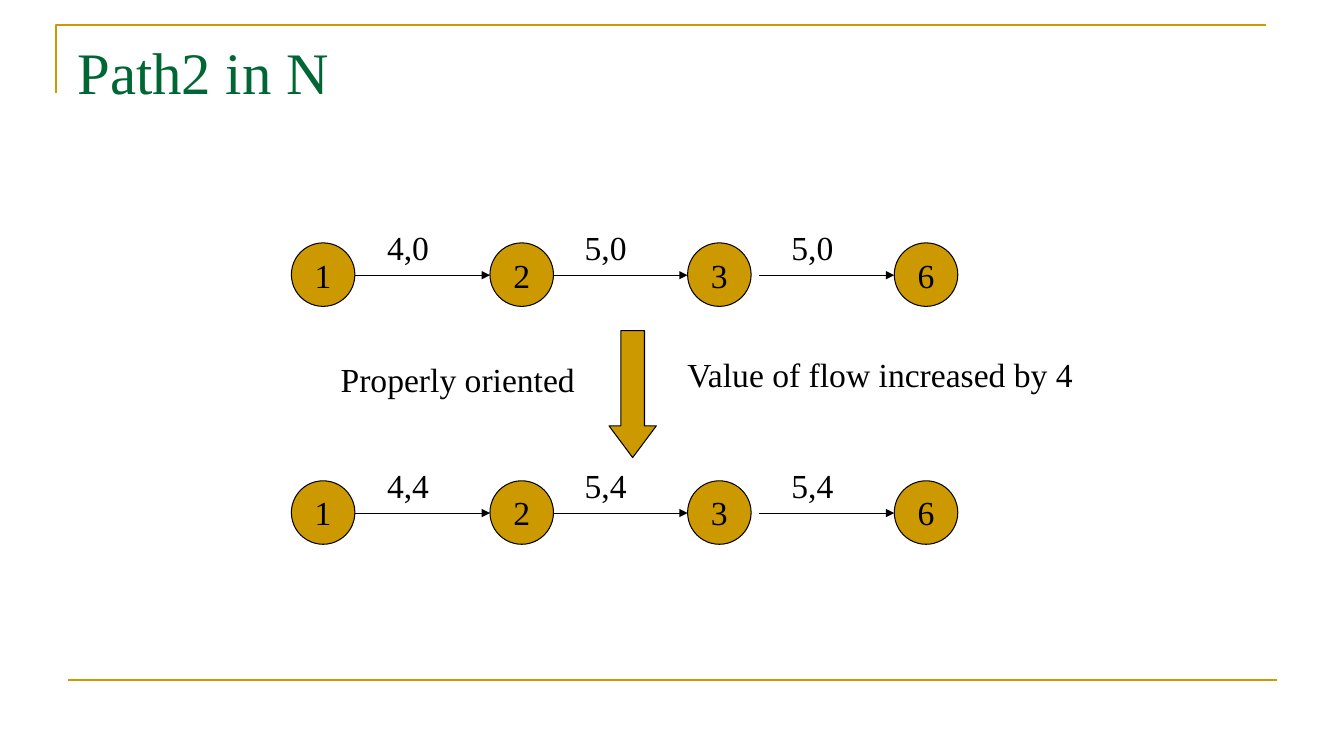
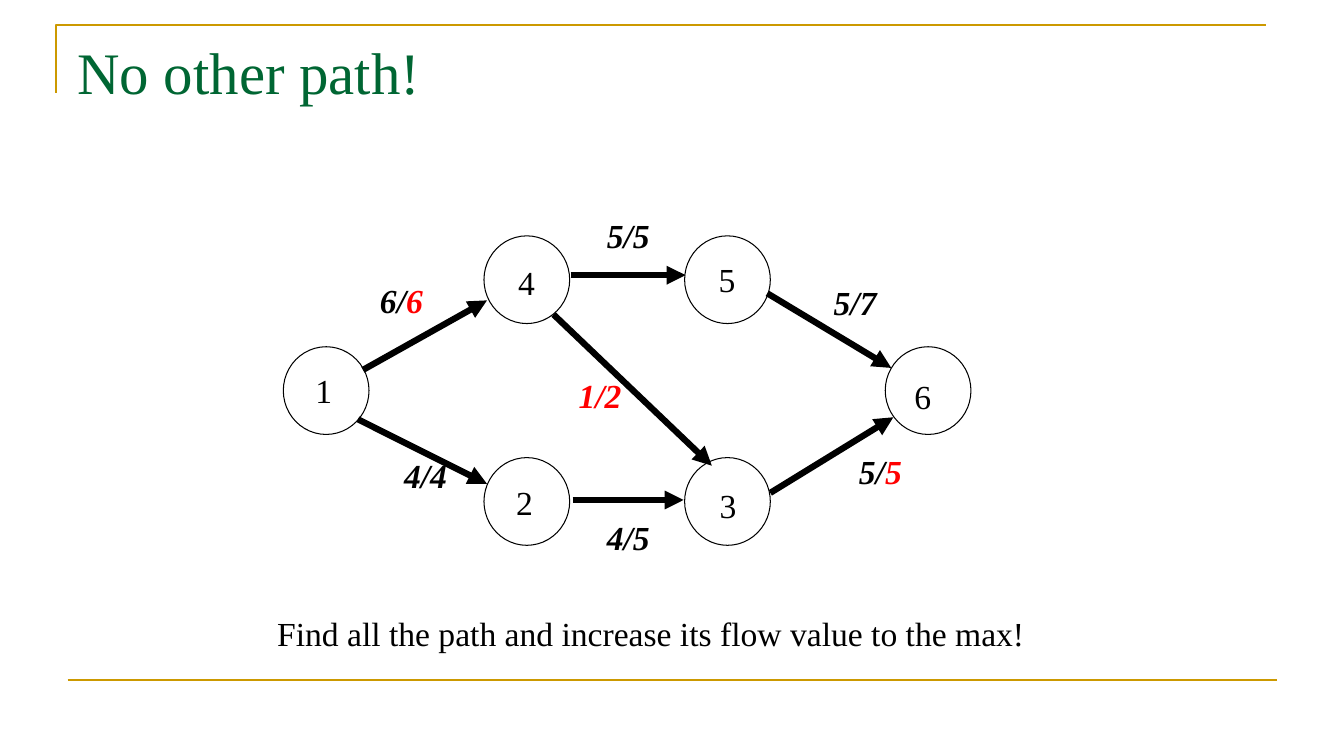
from dataclasses import dataclass

import pptx
import pptx.dml.color
import pptx.enum.shapes
import pptx.enum.text
import pptx.util
from lxml import etree
from pptx.oxml.ns import qn

Inches = pptx.util.Inches
Pt = pptx.util.Pt
SHAPES = pptx.enum.shapes.MSO_SHAPE

FONT = "Times New Roman"
COLORS = {"gold": "CC9900", "title": "006633", "ink": "000000", "red": "FF0000"}


@dataclass
class Label:
    """Text made of (words, colour) pairs."""
    wording: list[tuple[str, str]]
    left: float
    top: float
    width: float
    height: float = 0.5


@dataclass
class Node:
    """A numbered circle; the digit has its own place."""
    number: str
    column: int
    row: int
    digit_left: float
    digit_top: float


@dataclass
class Arrow:
    start: tuple[float, float]
    end: tuple[float, float]


def rgb(name: str) -> pptx.dml.color.RGBColor:
    return pptx.dml.color.RGBColor.from_string(COLORS[name])


def format_run(run, color: str, size: float = 24, strong: bool = False) -> None:
    run.font.name = FONT
    run.font.size = Pt(size)
    run.font.color.rgb = rgb(color)
    if strong:
        run.font.bold = run.font.italic = True


def add_label(slide, label: Label, size: float = 24, wrap: bool = False,
              strong: bool = False) -> None:
    box = slide.shapes.add_textbox(Inches(label.left), Inches(label.top),
                                   Inches(label.width), Inches(label.height))
    frame = box.text_frame
    frame.word_wrap = wrap
    frame.auto_size = pptx.enum.text.MSO_AUTO_SIZE.SHAPE_TO_FIT_TEXT
    for words, color in label.wording:
        run = frame.paragraphs[0].add_run()
        run.text = words
        format_run(run, color, size, strong)


def add_line(slide, line: Arrow, color: str, weight: float, head: bool = True) -> None:
    connector = slide.shapes.add_connector(
        pptx.enum.shapes.MSO_CONNECTOR.STRAIGHT,
        *(Inches(value) for value in line.start + line.end))
    connector.line.color.rgb = rgb(color)
    connector.line.width = Pt(weight)
    if head:
        etree.SubElement(connector.line._get_or_add_ln(), qn("a:tailEnd"), type="triangle")
    etree.SubElement(connector._element.spPr, qn("a:effectLst"))


def add_figure(slide, kind, left: float, top: float, width: float, height: float,
               fill: str = ""):
    figure = slide.shapes.add_shape(kind, Inches(left), Inches(top),
                                    Inches(width), Inches(height))
    figure.shadow.inherit = False
    if fill:
        figure.fill.solid()
        figure.fill.fore_color.rgb = rgb(fill)
    else:
        figure.fill.background()
    figure.line.color.rgb = rgb("ink")
    figure.line.width = Pt(0.75)
    return figure


def add_framed_slide(deck, title: str):
    """Blank slide with the gold corner, the foot rule and a title."""
    slide = deck.slides.add_slide(deck.slide_layouts[6])
    outline = slide.shapes.build_freeform(Inches(0.56), Inches(0.92))
    outline.add_line_segments([(Inches(0.56), Inches(0.25)),
                               (Inches(12.56), Inches(0.25))], close=False)
    corner = outline.convert_to_shape()
    corner.shadow.inherit = False
    corner.fill.background()
    corner.line.color.rgb = rgb("gold")
    corner.line.width = Pt(1.5)
    add_line(slide, Arrow((0.67, 6.75), (12.67, 6.75)), "gold", 1.5, head=False)
    add_label(slide, Label([(title, "title")], 0.67, 0.3, 12, 1.25), size=42, wrap=True)
    return slide


# Path slide: one chain of nodes before and one after the increase
CHAIN = {"1": 2.89, "2": 4.86, "3": 6.82, "6": 8.87}
CHAIN_NODE = 0.63
CHAIN_ARROW = 1.34


def add_chain(slide, top: float, flows: list[str]) -> None:
    for number, left in CHAIN.items():
        circle = add_figure(slide, SHAPES.OVAL, left, top, CHAIN_NODE, CHAIN_NODE, "gold")
        frame = circle.text_frame
        frame.text = number
        frame.word_wrap = False
        frame.vertical_anchor = pptx.enum.text.MSO_ANCHOR.MIDDLE
        frame.paragraphs[0].alignment = pptx.enum.text.PP_ALIGN.CENTER
        format_run(frame.paragraphs[0].runs[0], "ink")
    middle = top + 0.32
    for flow, target in zip(flows, list(CHAIN.values())[1:]):
        add_line(slide, Arrow((target - CHAIN_ARROW, middle), (target, middle)), "ink", 0.75)
        add_label(slide, Label([(flow, "ink")], target - 1.12, top - 0.21, 0.62))


def build_path_slide(deck) -> None:
    slide = add_framed_slide(deck, "Path2 in N")
    add_chain(slide, 2.41, ["4,0", "5,0", "5,0"])
    add_label(slide, Label([("Properly oriented", "ink")], 3.28, 3.51, 2.52))
    add_label(slide, Label([("Value of flow increased by 4", "ink")], 6.72, 3.46, 4.06))
    step = add_figure(slide, SHAPES.DOWN_ARROW, 6.04, 3.28, 0.47, 1.26, "gold")
    step.adjustments[0] = 0.5
    step.adjustments[1] = 0.67
    add_chain(slide, 4.77, ["4,4", "5,4", "5,4"])


# Network slide: nodes on a grid, arrows and flow/capacity labels
NODES = [
    Node("1", 0, 1, 3.03, 3.62),
    Node("4", 1, 0, 5.04, 2.55),
    Node("5", 2, 0, 7.03, 2.52),
    Node("2", 1, 2, 5.02, 4.73),
    Node("3", 2, 2, 7.04, 4.76),
    Node("6", 3, 1, 8.97, 3.68),
]
EDGES = [
    Arrow((3.6, 3.67), (4.83, 2.98)),
    Arrow((3.55, 4.16), (4.83, 4.8)),
    Arrow((5.66, 2.73), (6.8, 2.73)),
    Arrow((7.61, 2.91), (8.84, 3.65)),
    Arrow((7.64, 4.89), (8.86, 4.14)),
    Arrow((5.49, 3.12), (7.06, 4.62)),
    Arrow((5.68, 4.96), (6.78, 4.96)),
]
FLOWS = [
    Label([("1/2", "red")], 5.64, 3.67, 0.79),
    Label([("5/", "ink"), ("5", "red")], 8.42, 4.42, 0.69),
    Label([("4/5", "ink")], 5.92, 5.08, 0.67),
    Label([("4/4", "ink")], 3.91, 4.46, 0.63),
    Label([("5/7", "ink")], 8.17, 2.75, 0.83),
    Label([("5/5", "ink")], 5.92, 2.08, 0.67),
    Label([("6/", "ink"), ("6", "red")], 3.67, 2.73, 0.72),
]


def build_network_slide(deck) -> None:
    slide = add_framed_slide(deck, "No other path!")
    for node in NODES:
        add_figure(slide, SHAPES.OVAL, 2.81 + 1.99 * node.column, 2.34 + 1.1 * node.row,
                   0.85, 0.87)
        add_label(slide, Label([(node.number, "ink")], node.digit_left, node.digit_top, 0.84),
                  wrap=True)
    for edge in EDGES:
        add_line(slide, edge, "ink", 4.5)
    for flow in FLOWS:
        add_label(slide, flow, wrap=True, strong=True)
    advice = "Find all the path and increase its flow value to the max!"
    add_label(slide, Label([(advice, "ink")], 2.65, 6.03, 7.68))


def main() -> None:
    deck = pptx.Presentation()
    deck.slide_width = Inches(13.33)
    deck.slide_height = Inches(7.5)
    build_path_slide(deck)
    build_network_slide(deck)
    deck.save("out.pptx")


if __name__ == "__main__":
    main()
